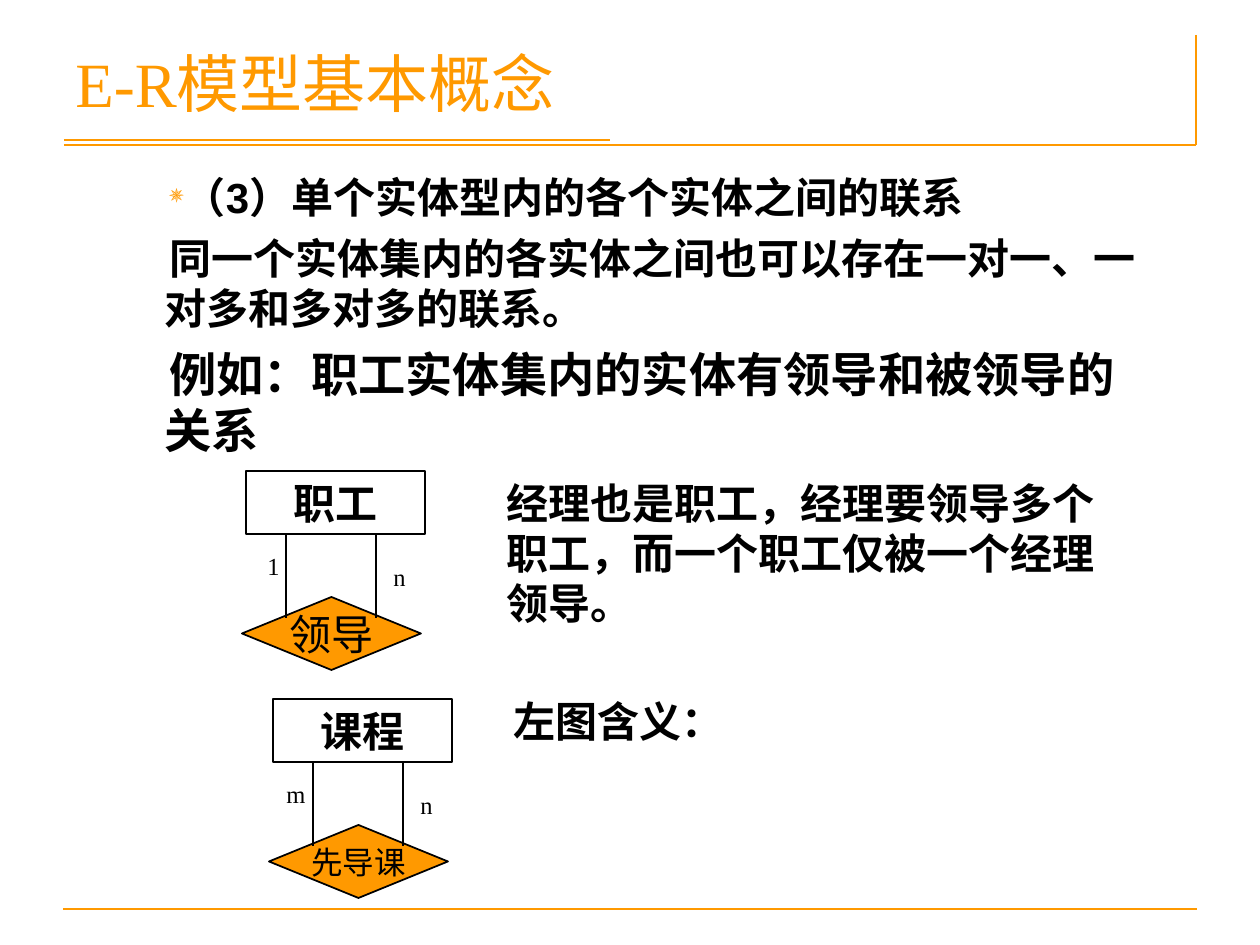
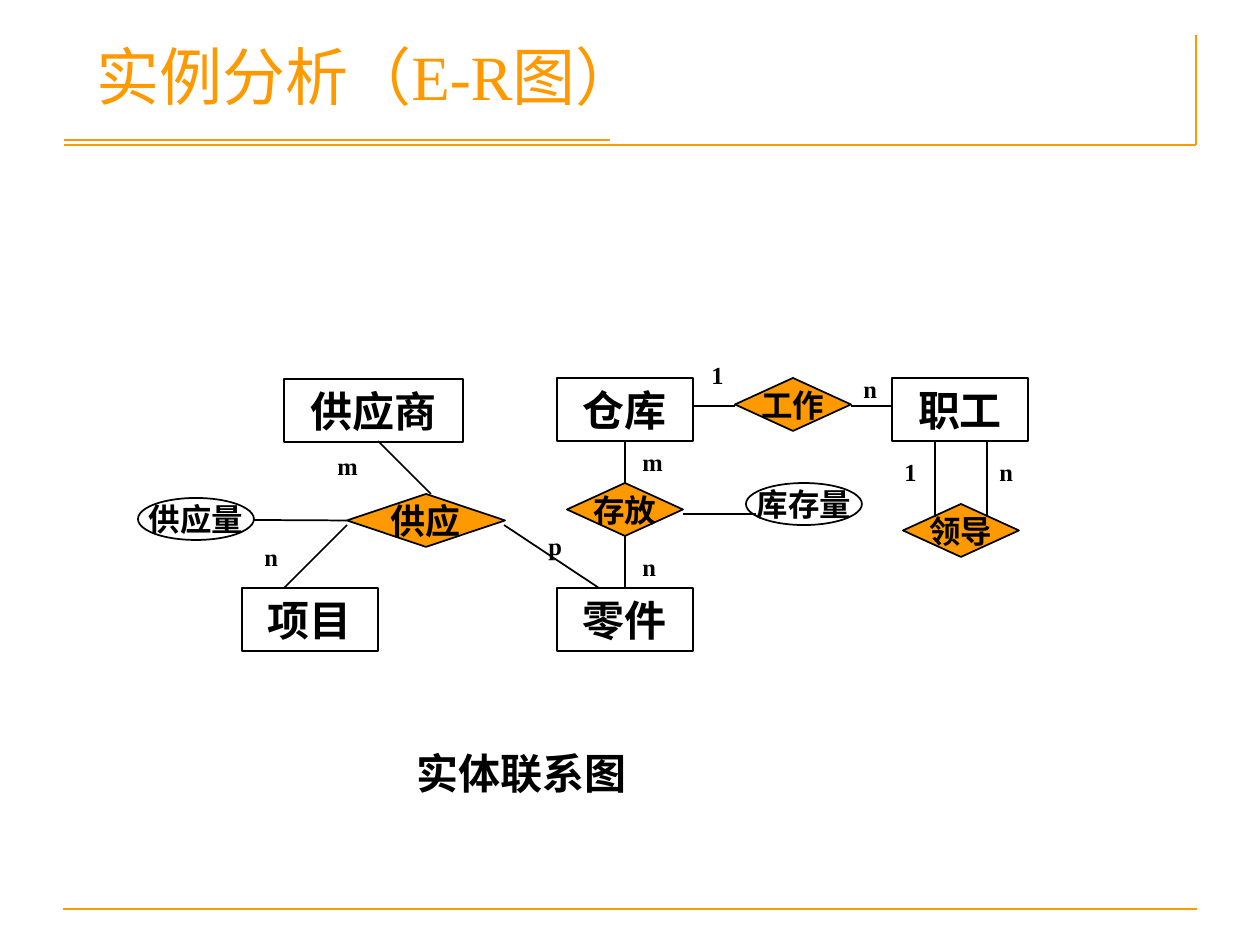
from dataclasses import dataclass

from lxml.etree import SubElement
from pptx import Presentation
from pptx.dml.color import RGBColor
from pptx.enum.shapes import MSO_CONNECTOR, MSO_SHAPE
from pptx.enum.text import MSO_ANCHOR, PP_ALIGN
from pptx.oxml.ns import qn
from pptx.util import Emu, Pt


@dataclass(frozen=True)
class Theme:
    orange: RGBColor = RGBColor(0xFF, 0x99, 0x00)
    black: RGBColor = RGBColor(0x00, 0x00, 0x00)
    serif: str = "Times New Roman"
    sans: str = "Arial"
    title: int = 36
    example: int = 27
    body: int = 24
    relation: int = 20
    small: int = 18
    label: int = 14
    rule_width: float = 1.5
    outline_width: float = 1


theme = Theme()
PX = 914400 / 126  # EMU in one px


def add_text(slide, box, text, size, bold=True, kind=None, fill=None,
             color=theme.black, font=theme.serif):
    """Add a text box, or a centred, outlined shape when a kind is given."""
    box = [Emu(round(length * PX)) for length in box]
    if kind is None:
        shape = slide.shapes.add_textbox(*box)
        shape.text_frame.word_wrap = True
    else:
        shape = slide.shapes.add_shape(kind, *box)
        shape.shadow.inherit = False
        if fill is None:
            shape.fill.background()
        else:
            shape.fill.solid()
            shape.fill.fore_color.rgb = fill
        shape.line.color.rgb = theme.black
        shape.line.width = Pt(theme.outline_width)
        shape.text_frame.word_wrap = False
        shape.text_frame.vertical_anchor = MSO_ANCHOR.MIDDLE
        shape.text_frame.paragraphs[0].alignment = PP_ALIGN.CENTER
    run = shape.text_frame.paragraphs[0].add_run()
    run.text = text
    run.font.size = Pt(size)
    run.font.bold = bold
    run.font.name = font
    run.font.color.rgb = color
    return shape


def add_line(slide, points, color=theme.black, width=theme.outline_width):
    ends = [Emu(round(length * PX)) for length in points]
    line = slide.shapes.add_connector(MSO_CONNECTOR.STRAIGHT, *ends)
    line.line.color.rgb = color
    line.line.width = Pt(width)
    SubElement(line._element.spPr, qn("a:effectLst"))
    return line


presentation = Presentation()
presentation.slide_width = Emu(round(1260 * PX))
presentation.slide_height = Emu(round(945 * PX))

# Shared frame: rules and title
rules = [
    (63, 909, 1197, 909),
    (64, 145, 1196, 145),
    (1196, 35, 1196, 145),
    (64, 140, 610, 140),
]
titles = [
    ("E-R模型基本概念", (63, 38, 1134, 107)),
    ("实例分析（E-R图）", (84, 31, 1071, 93)),
]
slides = []
for title, title_box in titles:
    slide = presentation.slides.add_slide(presentation.slide_layouts[6])
    for rule in rules:
        add_line(slide, rule, theme.orange, theme.rule_width)
    add_text(slide, title_box, title, theme.title, False, color=theme.orange)
    slides.append(slide)
concept_slide, example_slide = slides

# Slide 1: explanation
statements = [
    ("（3）单个实体型内的各个实体之间的联系", theme.body, 0),
    ("同一个实体集内的各实体之间也可以存在一对一、一对多和多对多的联系。", theme.body, 6),
    ("例如：职工实体集内的实体有领导和被领导的关系", theme.example, 6.8),
]
first_text, first_size, _ = statements[0]
explanation = add_text(concept_slide, (79, 165, 1071, 197), first_text, first_size,
                       font=theme.sans)
frame = explanation.text_frame
for text, size, space_before in statements[1:]:
    paragraph = frame.add_paragraph()
    paragraph.space_before = Pt(space_before)
    run = paragraph.add_run()
    run.text = text
    run.font.size = Pt(size)
    run.font.bold = True
    run.font.name = theme.sans
    run.font.color.rgb = theme.black
for paragraph in frame.paragraphs:
    properties = paragraph._p.get_or_add_pPr()
    properties.set("marL", str(round(73 * PX)))
    properties.set("indent", str(round(5 * PX)))

# Star bullet on the heading statement
properties = frame.paragraphs[0]._p.get_or_add_pPr()
bullet_color = SubElement(properties, qn("a:buClr"))
SubElement(bullet_color, qn("a:srgbClr"), val=str(theme.orange))
SubElement(properties, qn("a:buSzPct"), val="60000")
SubElement(properties, qn("a:buChar"), char="✵")

# Slide 1: two entities, each related to itself
self_relations = [
    (246, 471, "职工", "领导", theme.body, "1", 9),
    (273, 699, "课程", "先导课", theme.small, "m", 1),
]
for left, top, entity, relation, size, left_label, label_shift in self_relations:
    add_text(concept_slide, (left, top, 179, 63), entity, theme.body,
             kind=MSO_SHAPE.RECTANGLE)
    add_text(concept_slide, (left - 4, top + 126, 179, 73), relation, size, False,
             MSO_SHAPE.FLOWCHART_DECISION, theme.orange)
    for x in (left + 40, left + 130):
        add_line(concept_slide, (x, top + 63, x, top + 147))
    add_text(concept_slide, (left + label_shift, top + 74, 40, 43), left_label,
             theme.label, False)
    add_text(concept_slide, (left + 135, top + 85, 42, 43), "n", theme.label, False)

add_text(concept_slide, (494, 471, 651, 164),
         "经理也是职工，经理要领导多个职工，而一个职工仅被一个经理领导。", theme.body)
add_text(concept_slide, (501, 689, 651, 63), "左图含义：", theme.body)

# Slide 2: entities, relations and attributes of the diagram
entities = [
    ("仓库", 557, 378, 136),
    ("零件", 557, 588, 136),
    ("职工", 892, 378, 136),
    ("供应商", 284, 379, 179),
    ("项目", 242, 588, 136),
]
relations = [
    ("供应", 347, 494, 158, theme.relation),
    ("存放", 567, 483, 116, theme.small),
    ("工作", 735, 378, 116, theme.small),
    ("领导", 903, 504, 116, theme.small),
]
attributes = [("供应量", 138, 498), ("库存量", 746, 483)]

nodes = {}
for name, left, top, width in entities:
    nodes[name] = add_text(example_slide, (left, top, width, 63), name, theme.body,
                           kind=MSO_SHAPE.RECTANGLE)
for name, left, top, width, size in relations:
    nodes[name] = add_text(example_slide, (left, top, width, 53), name, size,
                           kind=MSO_SHAPE.FLOWCHART_DECISION, fill=theme.orange)
for name, left, top in attributes:
    add_text(example_slide, (left, top, 116, 42), name, theme.small, kind=MSO_SHAPE.OVAL)

# Slide 2: free lines, then lines joined to side middles (0 top, 1 left, 2 bottom)
free_lines = [
    (378, 441, 431, 494),
    (347, 525, 284, 588),
    (504, 525, 599, 588),
    (693, 406, 735, 406),
    (851, 406, 892, 406),
    (935, 441, 935, 517),
    (987, 441, 987, 517),
    (683, 514, 756, 514),
]
for points in free_lines:
    add_line(example_slide, points)
for upper, lower in [("仓库", "存放"), ("存放", "零件")]:
    line = add_line(example_slide, (625, 441, 625, 588))
    line.begin_connect(nodes[upper], 2)
    line.end_connect(nodes[lower], 0)
supply_line = add_line(example_slide, (347, 520, 254, 520))
supply_line.begin_connect(nodes["供应"], 1)

# Slide 2: cardinalities and caption
cardinalities = [
    ("n", 630, 546), ("m", 630, 441), ("n", 252, 536), ("m", 325, 445), ("p", 536, 525),
    ("1", 699, 354), ("n", 851, 368), ("n", 987, 451), ("1", 892, 451),
]
for text, left, top in cardinalities:
    add_text(example_slide, (left, top, 42, 43), text, theme.label)
add_text(example_slide, (404, 741, 262, 63), "实体联系图", theme.body)

presentation.save("out.pptx")
